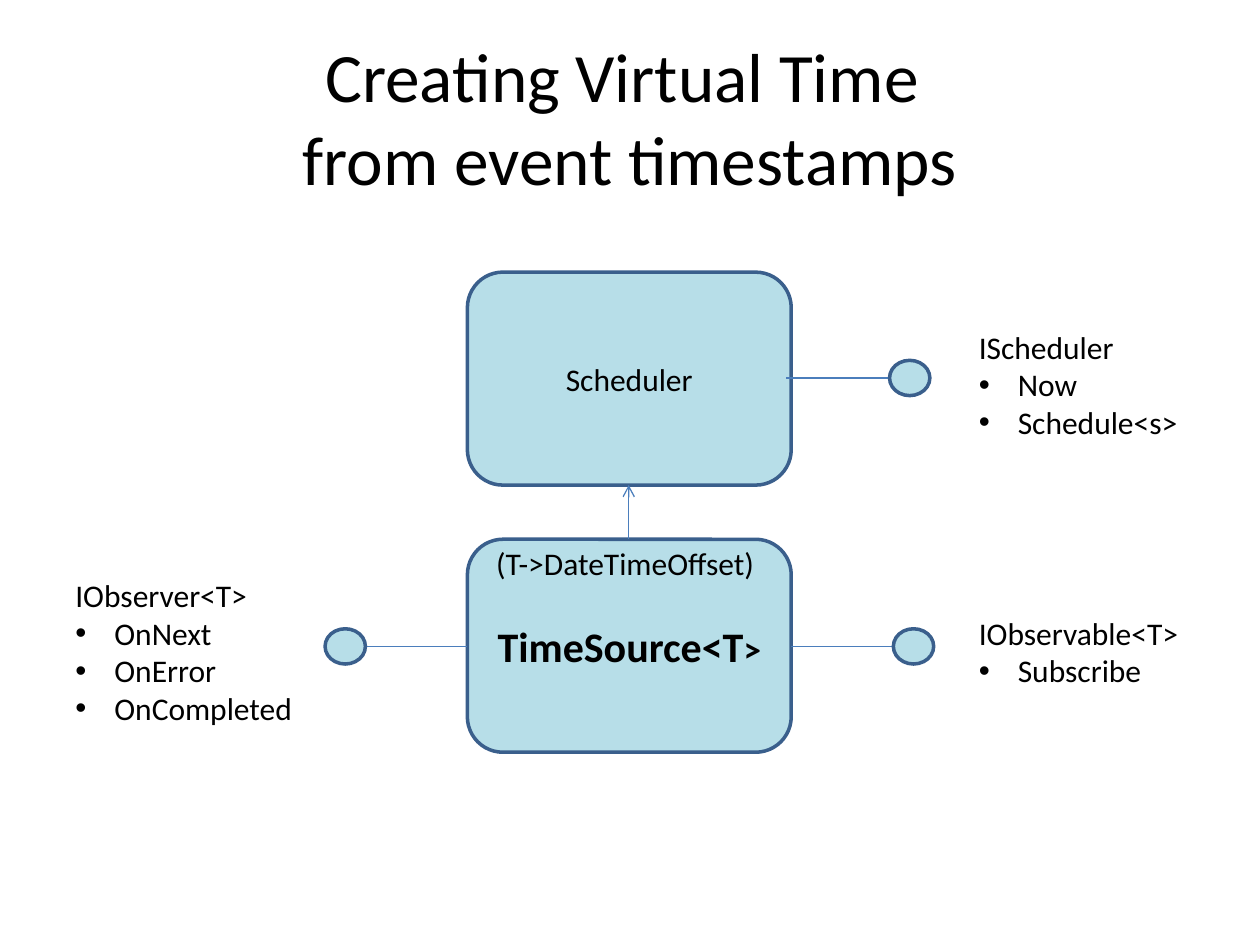
from lxml import etree
from pptx import Presentation
from pptx import util as u
from pptx.dml.color import RGBColor
from pptx.enum import shapes, text
from pptx.oxml.ns import qn


def rgb(value):
    return RGBColor.from_string(value)


def add_text(p, content, size=18, bold=False, color="000000", font="Calibri"):
    """Add runs to a paragraph; a newline becomes a line break."""
    for i, line in enumerate(content.split("\n")):
        if i:
            p.add_line_break()
        r = p.add_run()
        r.text = line
        r.font.name, r.font.size, r.font.bold = font, u.Pt(size), bold
        r.font.color.rgb = rgb(color)


class Diagram:
    FILL, OUTLINE, LINK = "B7DEE8", "3A5F8C", "4B7EBC"
    BOX_SIZE = (2.57, 1.69)
    PORT_SIZE = (0.32, 0.28)
    INDENT = 0.31

    def __init__(self, slide):
        self.s = slide

    def textbox(self, x, y, w, h, wrap=False):
        tf = self.s.shapes.add_textbox(*map(u.Inches, (x, y, w, h))).text_frame
        tf.word_wrap = wrap
        return tf

    def title(self, x, y, w, h, content):
        tf = self.textbox(x, y, w, h, wrap=True)
        tf.vertical_anchor = text.MSO_ANCHOR.MIDDLE
        p = tf.paragraphs[0]
        p.alignment = text.PP_ALIGN.CENTER
        add_text(p, content, size=39.6)

    def interface(self, x, y, w, h, name, members=()):
        """A name followed by its bulleted members."""
        tf = self.textbox(x, y, w, h)
        tf.auto_size = text.MSO_AUTO_SIZE.SHAPE_TO_FIT_TEXT
        add_text(tf.paragraphs[0], name)
        for member in members:
            p = tf.add_paragraph()
            add_text(p, member)
            pPr = p._p.get_or_add_pPr()
            pPr.set("marL", str(u.Inches(self.INDENT)))
            pPr.set("indent", str(-u.Inches(self.INDENT)))
            etree.SubElement(pPr, qn("a:buFont")).set("typeface", "Arial")
            etree.SubElement(pPr, qn("a:buChar")).set("char", "•")

    def shape(self, kind, x, y, size):
        sp = self.s.shapes.add_shape(kind, *map(u.Inches, (x, y, *size)))
        sp.shadow.inherit = False
        sp.fill.solid()
        sp.fill.fore_color.rgb = rgb(self.FILL)
        sp.line.color.rgb = rgb(self.OUTLINE)
        sp.line.width = u.Pt(2)
        return sp

    def box(self, x, y, *runs):
        sp = self.shape(shapes.MSO_SHAPE.ROUNDED_RECTANGLE, x, y, self.BOX_SIZE)
        tf = sp.text_frame
        tf.vertical_anchor = text.MSO_ANCHOR.MIDDLE
        p = tf.paragraphs[0]
        p.alignment = text.PP_ALIGN.CENTER
        for content, style in runs:
            add_text(p, content, **style)

    def port(self, x, y):
        """A small circle centred vertically on y."""
        self.shape(shapes.MSO_SHAPE.OVAL, x, y - self.PORT_SIZE[1] / 2, self.PORT_SIZE)

    def link(self, x1, y1, x2, y2, arrow=False):
        c = self.s.shapes.add_connector(
            shapes.MSO_CONNECTOR.STRAIGHT, *map(u.Inches, (x1, y1, x2, y2)))
        c.line.color.rgb = rgb(self.LINK)
        c.line.width = u.Pt(0.75)
        if arrow:
            etree.SubElement(c.line._get_or_add_ln(), qn("a:tailEnd")).set("type", "arrow")
        etree.SubElement(c._element.spPr, qn("a:effectLst"))


def main():
    prs = Presentation()
    prs.slide_width, prs.slide_height = u.Inches(10), u.Inches(7.5)
    d = Diagram(prs.slides.add_slide(prs.slide_layouts[6]))

    # Title
    d.title(0.5, 0.3, 9, 1.25, "Creating Virtual Time \nfrom event timestamps")

    # Interfaces
    d.interface(0.5, 4.52, 1.94, 1.31, "IObserver<T>", ["OnNext", "OnError", "OnCompleted"])
    d.interface(7.67, 4.82, 1.8, 0.71, "IObservable<T>", ["Subscribe"])
    d.interface(7.67, 2.55, 1.8, 1.01, "IScheduler", ["Now", "Schedule<s>"])

    # Time source with its two ports
    left, source_top, scheduler_top = 3.71, 4.28, 2.16
    right = left + d.BOX_SIZE[0]
    source_mid, scheduler_mid = 5.13, 3
    d.box(left, source_top,
          ("TimeSource<T", dict(size=24, bold=True)), (">", dict(size=20, bold=True)))
    d.link(left, source_mid, 2.74, source_mid)
    d.link(right, source_mid, 7.08, source_mid)
    d.port(2.58, source_mid)
    d.port(7.09, source_mid)

    # Scheduler with its port
    d.box(left, scheduler_top, ("Scheduler", dict(size=18)))
    d.link(6.24, scheduler_mid, 7.05, scheduler_mid)
    d.port(7.06, scheduler_mid)

    # Time source drives the scheduler
    d.link(4.99, source_top, 4.99, scheduler_top + d.BOX_SIZE[1], arrow=True)
    d.interface(3.84, 4.27, 2.3, 0.4, "(T->DateTimeOffset)")

    prs.save("out.pptx")


if __name__ == "__main__":
    main()
